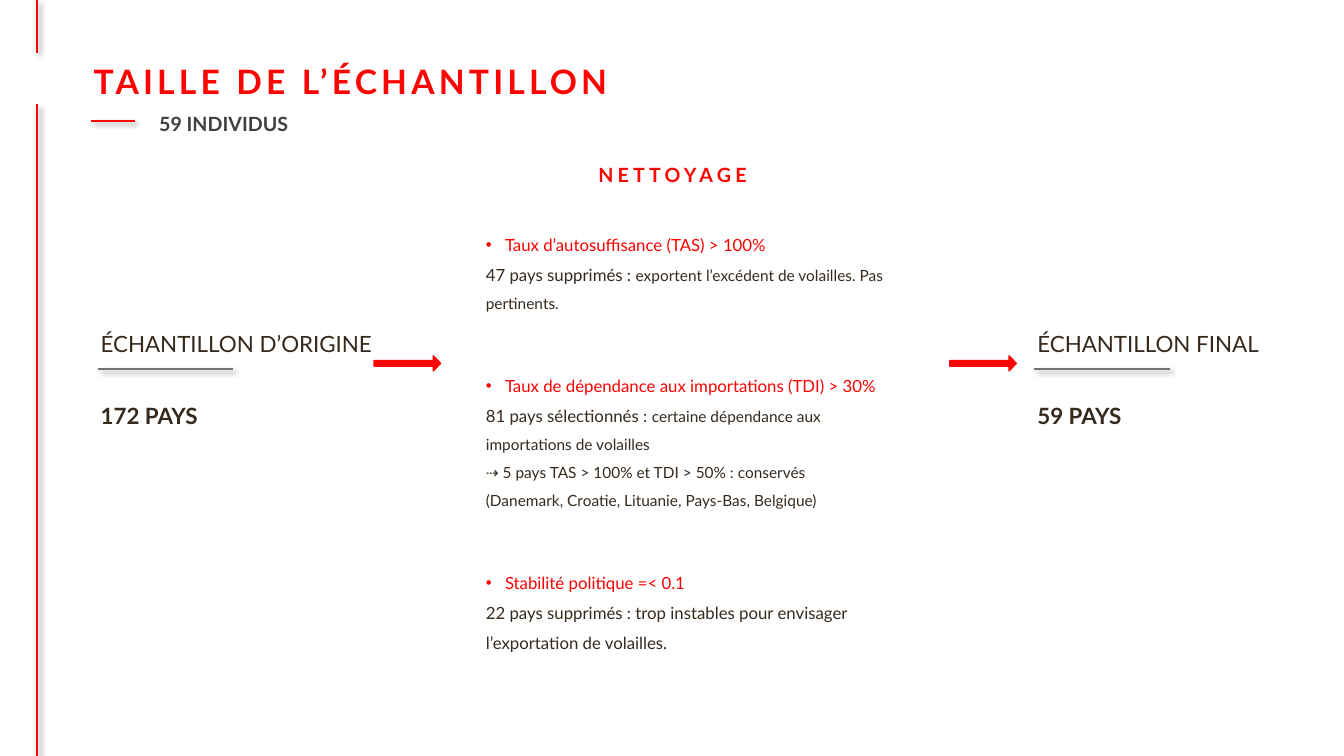
from lxml import etree
from pptx import Presentation
from pptx.dml.color import RGBColor
from pptx.enum import shapes, text
from pptx.oxml import ns
from pptx.util import Inches, Pt

RED, BROWN, DARK_GREY, GREY = "FB0401", "36291D", "404040", "767171"
FONT = "Lato"
LINE_SPACING = 1.5
CRITERION_GAP = 37.8

# Each criterion: heading, then paragraphs made of (text, size) runs.
CRITERIA = [
    ("Taux d’autosuffisance (TAS) > 100%", [
        [("47 pays supprimés : ", 12),
         ("exportent l’excédent de volailles. Pas pertinents.", 11)],
    ]),
    ("Taux de dépendance aux importations (TDI) > 30%", [
        [("81 pays sélectionnés : ", 12),
         ("certaine dépendance aux importations de volailles", 11)],
        [("⇢ 5 pays TAS > 100% et TDI > 50% : conservés", 11)],
        [("(Danemark, Croatie, Lituanie, Pays-Bas, Belgique)", 11)],
    ]),
    ("Stabilité politique =< 0.1", [
        [("22 pays supprimés : trop instables pour envisager "
          "l’exportation de volailles.", 12)],
    ]),
]


def colour(hex_code):
    return RGBColor.from_string(hex_code)


def add_child(parent, tag, **attributes):
    return etree.SubElement(parent, ns.qn(tag), attributes)


def add_shadowed_line(container, start, end, hex_code):
    line = container.add_connector(
        shapes.MSO_CONNECTOR.STRAIGHT, *map(Inches, start + end))
    line.line.color.rgb = colour(hex_code)
    line.line.width = Pt(1.5)
    effects = add_child(line._element.spPr, "a:effectLst")
    shadow = add_child(
        effects, "a:outerShdw", blurRad=str(Pt(4)), dist=str(Pt(3)),
        dir="2700000", algn="tl", rotWithShape="0")
    shade = add_child(shadow, "a:srgbClr", val="000000")
    add_child(shade, "a:alpha", val="40000")


def add_box(page, left, top, width, height, anchor=text.MSO_ANCHOR.TOP):
    box = page.shapes.add_textbox(*map(Inches, (left, top, width, height)))
    frame = box.text_frame
    frame.word_wrap = True
    frame.vertical_anchor = anchor
    frame.paragraphs[0].line_spacing = LINE_SPACING
    return frame


def add_span(para, wording, size, hex_code, bold=False, spacing=0):
    """Add one run; spacing is the letter spacing in points."""
    span = para.add_run()
    span.text = wording
    span.font.name = FONT
    span.font.size = Pt(size)
    span.font.bold = bold
    span.font.color.rgb = colour(hex_code)
    if spacing:
        span.font._element.set("spc", str(spacing * 100))


def add_label(page, place, wording, size, hex_code, bold=False, spacing=0,
              anchor=text.MSO_ANCHOR.TOP, align=text.PP_ALIGN.LEFT):
    para = add_box(page, *place, anchor=anchor).paragraphs[0]
    para.alignment = align
    add_span(para, wording, size, hex_code, bold, spacing)


def add_bullet(para):
    indent = Inches(0.19)
    properties = para._p.get_or_add_pPr()
    properties.set("marL", str(indent))
    properties.set("indent", str(-indent))
    add_child(properties, "a:buFont", typeface="Arial")
    add_child(properties, "a:buChar", char="•")


def add_criteria(page):
    frame = add_box(page, 4.72, 2.18, 4.28, 4.65)
    for index, (heading, details) in enumerate(CRITERIA):
        para = frame.add_paragraph() if index else frame.paragraphs[0]
        para.line_spacing = LINE_SPACING
        if index:
            para.space_before = Pt(CRITERION_GAP)
        add_bullet(para)
        add_span(para, heading, 12, RED)
        for spans in details:
            para = frame.add_paragraph()
            para.line_spacing = LINE_SPACING
            for wording, size in spans:
                add_span(para, wording, size, BROWN)


def add_sample(page, left, name, count):
    """Add a sample's name, its underline and its number of countries."""
    add_shadowed_line(page.shapes, (left + 1.41, 3.66), (left + 0.07, 3.66), GREY)
    add_label(page, (left, 3.09, 3.14, 0.45), name, 16, BROWN)
    add_label(page, (left, 3.81, 1.34, 0.45), count, 16, BROWN, bold=True)


def add_arrow(page, left):
    arrow = page.shapes.add_shape(
        shapes.MSO_SHAPE.RIGHT_ARROW, *map(Inches, (left, 3.53, 0.66, 0.15)))
    arrow.adjustments[0] = 0.37
    arrow.adjustments[1] = 0.48
    arrow.shadow.inherit = False
    arrow.fill.solid()
    arrow.fill.fore_color.rgb = colour(RED)
    arrow.line.color.rgb = colour(RED)
    arrow.line.width = Pt(1)


def main():
    deck = Presentation()
    deck.slide_width, deck.slide_height = Inches(13.33), Inches(7.5)
    page = deck.slides.add_slide(deck.slide_layouts[6])

    margin = page.shapes.add_group_shape().shapes
    for top, bottom in ((0, 0.53), (1.03, 7.5)):
        add_shadowed_line(margin, (0.37, top), (0.37, bottom), RED)

    middle = text.MSO_ANCHOR.MIDDLE
    add_label(page, (0.83, 0.38, 5.63, 0.65), "TAILLE DE L’ÉCHANTILLON",
              24, RED, bold=True, spacing=3, anchor=middle)
    add_label(page, (1.48, 0.84, 2.69, 0.65), "59 INDIVIDUS",
              14, DARK_GREY, bold=True, anchor=middle)
    add_shadowed_line(page.shapes, (1.34, 1.2), (0.9, 1.2), RED)

    add_label(page, (5.76, 1.45, 1.82, 0.41), "NETTOYAGE", 14, RED,
              bold=True, spacing=3, align=text.PP_ALIGN.CENTER)
    add_criteria(page)
    add_sample(page, 0.9, "ÉCHANTILLON D’ORIGINE", "172 PAYS")
    add_sample(page, 10.19, "ÉCHANTILLON FINAL", "59 PAYS")
    for left in (3.71, 9.42):
        add_arrow(page, left)

    deck.save("out.pptx")


if __name__ == "__main__":
    main()
